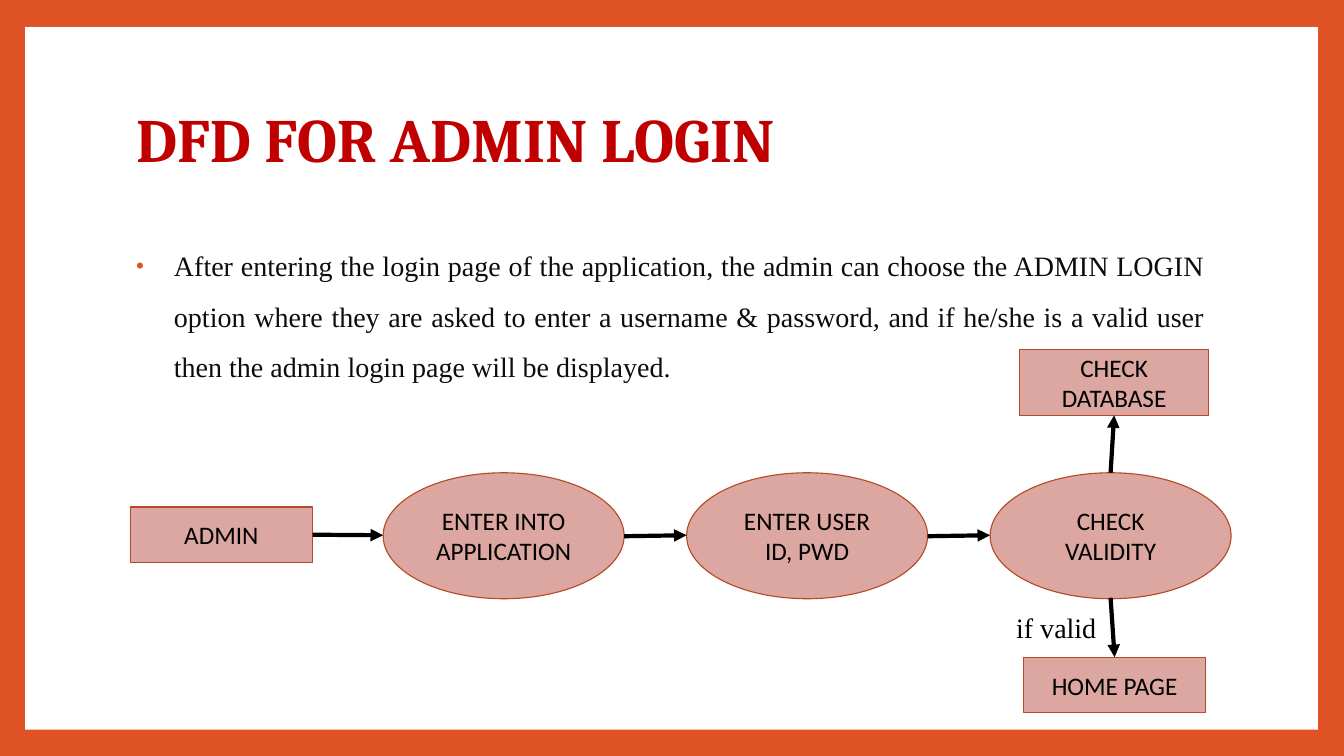
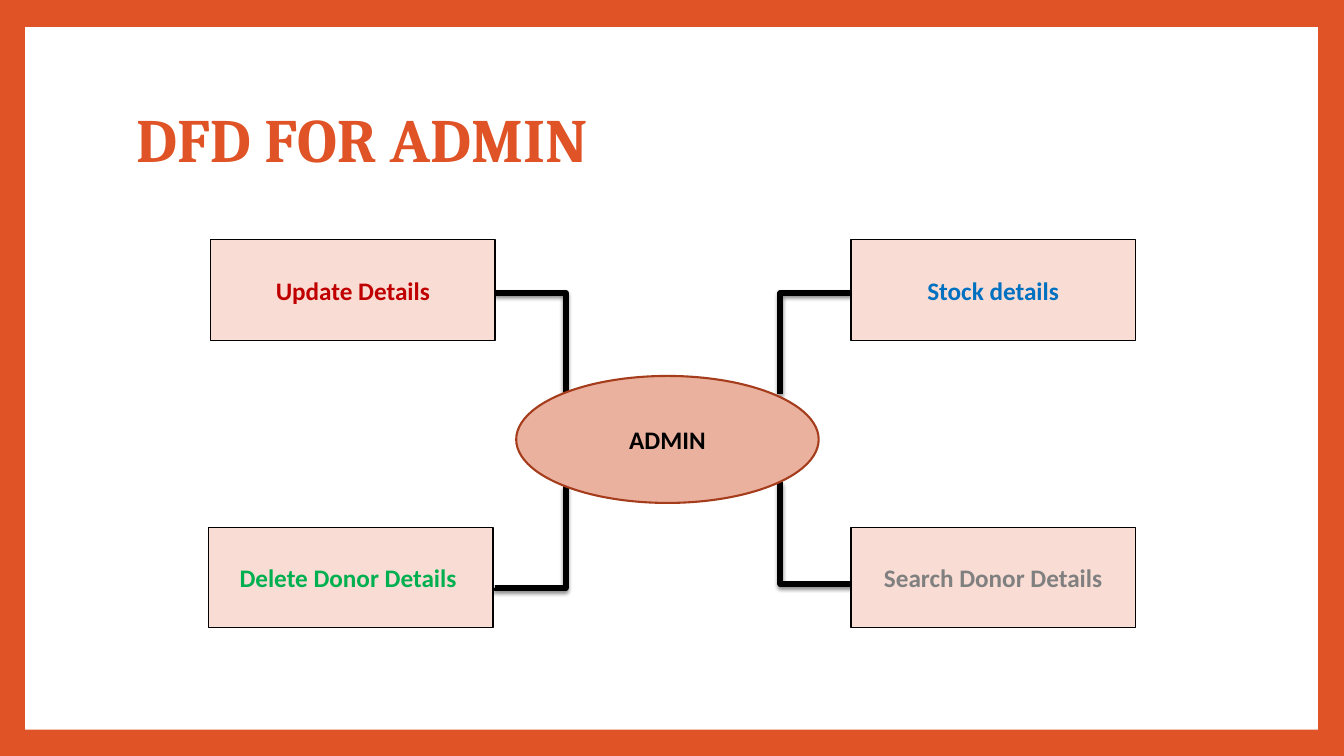
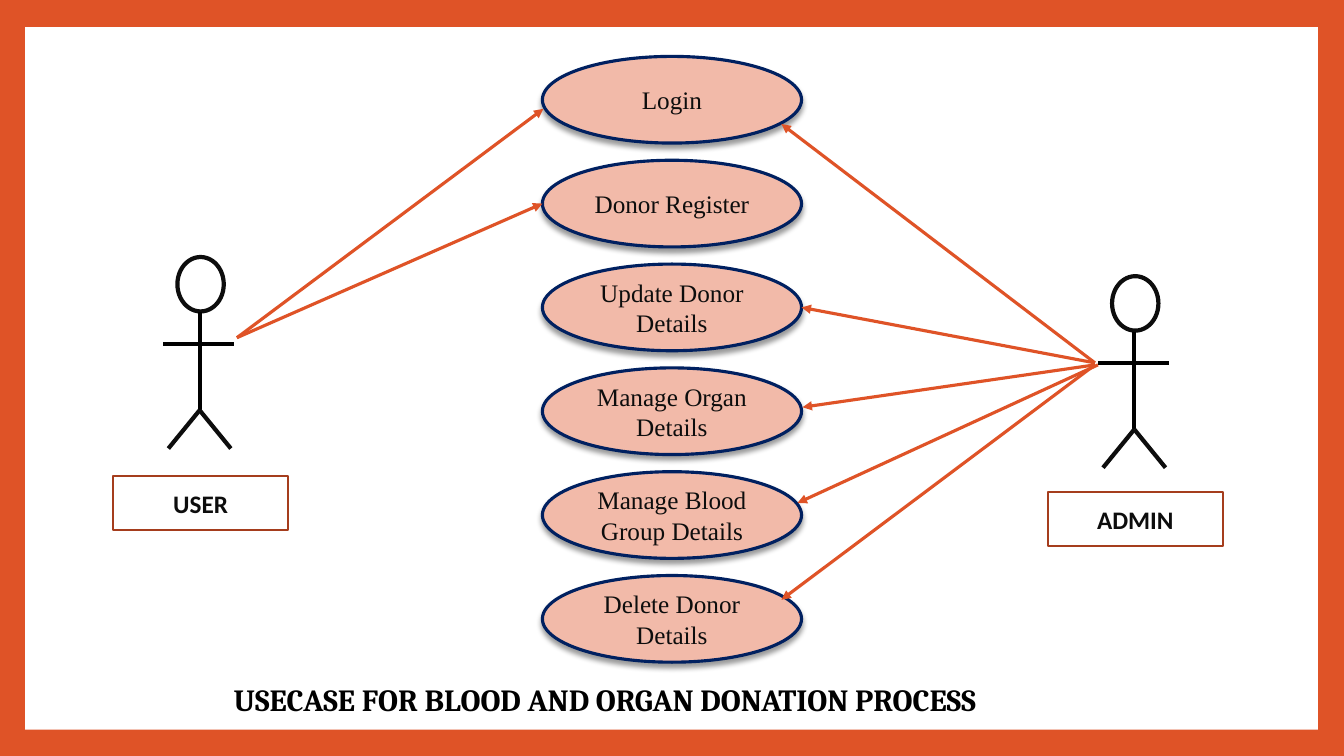
import pptx
import pptx.util
import pptx.dml.color
import pptx.enum.shapes
import pptx.enum.text
import pptx.oxml.ns
import lxml.etree

Inches, Pt = pptx.util.Inches, pptx.util.Pt
Kind = pptx.enum.shapes.MSO_SHAPE
Wire = pptx.enum.shapes.MSO_CONNECTOR
Align = pptx.enum.text.PP_ALIGN
Anchor = pptx.enum.text.MSO_ANCHOR
qn = pptx.oxml.ns.qn

INK = {
    "frame": "DF5327", "white": "FFFFFF", "black": "000000", "text": "0D0D0D",
    "red": "C00000", "blue": "0070C0", "green": "00B050", "gray": "808080",
    "rose": "DCA7A0", "rust": "B64926", "blush": "F9DDD4", "clay": "EBB19F",
    "brown": "A53D1D", "peach": "F2BAA9", "navy": "002060",
}
FONT = {
    "title": {"name": "Cambria", "size": Pt(44), "bold": True},
    "body": {"name": "Times New Roman", "size": Pt(20)},
    "case": {"name": "Times New Roman", "size": Pt(18)},
    "step": {"name": "Calibri", "size": Pt(18)},
    "label": {"name": "Calibri", "size": Pt(18), "bold": True},
    "foot": {"name": "Cambria", "size": Pt(22), "bold": True},
}
TITLE = (1.25, 0.67, 10.8, 1.48)
BODY = (1.25, 2.25, 10.8, 4.42)

INTRO = (
    "After entering the login page of the application, the admin can choose "
    "the ADMIN LOGIN option where they are asked to enter a username & password, "
    "and if he/she is a valid user then the admin login page will be displayed."
)
STEPS = ["ENTER INTO APPLICATION", "ENTER USER ID, PWD", "CHECK VALIDITY"]
ENDS = [
    ("ADMIN", (1.29, 5.03, 1.81, 0.55)),
    ("CHECK DATABASE", (10.11, 3.47, 1.88, 0.65)),
    ("HOME PAGE", (10.15, 6.52, 1.81, 0.55)),
]
TASKS = [
    ("Update Details", "red", (2.09, 2.38), (5.61, 3.91), (4.91, 2.91)),
    ("Stock details", "blue", (8.44, 2.38), (7.74, 3.91), (8.44, 2.91)),
    ("Delete Donor Details ", "green", (2.07, 5.23), (5.61, 4.82), (4.91, 5.83)),
    ("Search Donor Details", "gray", (8.44, 5.23), (7.74, 4.78), (8.44, 5.79)),
]
CASES = [
    "Login", "Donor Register", "Update Donor Details", "Manage Organ Details",
    "Manage Blood Group Details", "Delete Donor Details",
]
ACTORS = [
    ("USER", (1.62, 2.55), (1.12, 4.72), [
        ((2.35, 3.35), (5.39, 1.08)), ((2.35, 3.35), (5.38, 2.02)),
    ]),
    ("ADMIN", (10.89, 2.74), (10.39, 4.88), [
        ((10.86, 3.6), (7.75, 1.23)), ((10.86, 3.6), (7.95, 3.05)),
        ((10.86, 3.62), (7.96, 4.04)), ((10.89, 3.62), (7.91, 4.99)),
        ((10.86, 3.62), (7.75, 5.95)),
    ]),
]
LIMBS = [
    ((0.36, 0.55), (0.36, 1.52), "black"), ((0, 0.86), (0.7, 0.86), "black"),
    ((0.36, 1.52), (0.05, 1.9), "text"), ((0.67, 1.9), (0.36, 1.52), "text"),
]


def put(item, vals):
    for key, val in vals.items():
        setattr(item, key, val)


def tint(name):
    return pptx.dml.color.RGBColor.from_string(INK[name])


def paint(fill, name):
    fill.solid()
    fill.fore_color.rgb = tint(name)


def place(item, spot):
    put(item, dict(zip(("left", "top", "width", "height"), map(Inches, spot))))


def node(home, tag, **vals):
    return lxml.etree.SubElement(home, qn(tag), vals)


def shade(list_, alpha, blur, dist):
    cast = node(list_, "a:outerShdw", blurRad=str(Pt(blur)), dist=str(Pt(dist)),
                dir="5400000", algn="ctr", rotWithShape="0")
    color = node(cast, "a:srgbClr", val=INK["black"])
    node(color, "a:alpha", val=str(alpha * 1000))


def write(frame, text, font, color, **look):
    para = frame.paragraphs[0]
    para.text = text
    put(para, look)
    put(para.font, FONT[font])
    para.font.color.rgb = tint(color)


def draw(home, kind, spot, fill, edge=None, width=1):
    shape = home.add_shape(kind, *map(Inches, spot))
    shape.shadow.inherit = False
    paint(shape.fill, fill)
    if edge:
        paint(shape.line.fill, edge)
        shape.line.width = Pt(width)
    else:
        shape.line.fill.background()
    return shape


def box(home, kind, spot, text, font, color, fill, edge, width):
    shape = draw(home, kind, spot, fill, edge, width)
    put(shape.text_frame, {"word_wrap": True, "vertical_anchor": Anchor.MIDDLE})
    write(shape.text_frame, text, font, color, alignment=Align.CENTER)
    return shape


def link(home, start, end, color, width, head=False, kind=Wire.STRAIGHT):
    line = home.add_connector(kind, *map(Inches, (*start, *end)))
    paint(line.line.fill, color)
    line.line.width = Pt(width)
    if head:
        node(line.element.spPr.get_or_add_ln(), "a:tailEnd", type="triangle")
    node(line.element.spPr, "a:effectLst")
    return line


def elbow(home, start, end):
    (ax, ay), (bx, by) = start, end
    mx, my = (ax + bx) / 2, (ay + by) / 2
    dx, dy = abs(bx - ax) / 2, abs(by - ay) / 2
    right, up = bx > ax, by < ay
    sx, sy = (1 if right else -1), (1 if up else -1)
    line = link(home, (mx + sx * dy, my + sy * dx), (mx - sx * dy, my - sy * dx),
                "black", 4.25, kind=Wire.ELBOW)
    props = line.element.spPr
    props.find(qn("a:xfrm")).set("rot", str((90 if right == up else 270) * 60000))
    vals = props.find(qn("a:prstGeom")).get_or_add_avLst()
    node(vals, "a:gd", name="adj1", fmla="val 100200")
    shade(props.find(qn("a:effectLst")), 45, 3, 2)


def note(home, spot, text, font):
    label = home.add_textbox(*map(Inches, spot))
    label.text_frame.word_wrap = True
    write(label.text_frame, text, font, "black")


def head(slide, text, color):
    title = slide.shapes.title
    place(title, TITLE)
    put(title.text_frame, {"vertical_anchor": Anchor.MIDDLE, "word_wrap": True,
                           "auto_size": pptx.enum.text.MSO_AUTO_SIZE.NONE})
    write(title.text_frame, text, "title", color, alignment=Align.LEFT, line_spacing=0.9)


def theme(deck, slide):
    main = deck.slide_master
    paint(main.background.fill, "frame")
    panel = draw(slide.shapes, Kind.RECTANGLE, (0.25, 0.27, 12.82, 6.97), "white")
    panel.element.nvSpPr.cNvPr.set("id", "99")
    main.shapes.element.insert(2, panel.element)


def login(slide):
    head(slide, "DFD FOR ADMIN LOGIN", "red")
    body = slide.placeholders[1]
    place(body, BODY)
    body.text_frame.auto_size = pptx.enum.text.MSO_AUTO_SIZE.NONE
    props = body.text_frame.paragraphs[0]._p.get_or_add_pPr()
    put(props, {"marL": Inches(0.25), "indent": Inches(-0.2)})
    node(node(props, "a:buClr"), "a:srgbClr", val=INK["frame"])
    node(props, "a:buSzPct", val="80000")
    node(props, "a:buFont", typeface="Arial")
    node(props, "a:buChar", char="•")
    write(body.text_frame, INTRO, "body", "text", alignment=Align.JUSTIFY,
          line_spacing=1.5, space_before=Pt(0))

    home = slide.shapes
    look = ("step", "black", "rose", "rust", 0.79)
    admin, data, page = [box(home, Kind.RECTANGLE, spot, text, *look) for text, spot in ENDS]
    wide, gap, mid = 2.39, 0.62, 5.31
    lefts = [3.8 + i * (wide + gap) for i in range(len(STEPS))]
    for left, text in zip(lefts, STEPS):
        box(home, Kind.OVAL, (left, 4.69, wide, 1.25), text, *look)
    first = link(home, (3.1, mid), (lefts[0], mid), "black", 3, True)
    first.begin_connect(admin, 3)
    for left in lefts[1:]:
        link(home, (left - gap, mid + 0.01), (left, mid), "black", 3, True)
    axis = lefts[-1] + wide / 2
    link(home, (axis, 4.69), (axis, 4.12), "black", 3, True).end_connect(data, 2)
    link(home, (axis, 5.93), (axis, 6.52), "black", 3, True).end_connect(page, 0)
    note(home, (9.98, 6.01, 1.16, 0.44), "if valid", "body")


def duties(slide):
    head(slide, "DFD FOR ADMIN", "frame")
    home = slide.shapes
    for text, color, spot, start, end in TASKS:
        elbow(home, start, end)
        box(home, Kind.RECTANGLE, (*spot, 2.82, 1), text, "label", color,
            "blush", "black", 0.79)
    box(home, Kind.OVAL, (5.12, 3.73, 3, 1.26), "ADMIN", "label", "black",
        "clay", "brown", 1.5)


def figure(home, left, top):
    parts = home.add_group_shape().shapes
    draw(parts, Kind.OVAL, (left + 0.14, top, 0.46, 0.54), "white", "text", 3)
    for (ax, ay), (bx, by), color in LIMBS:
        link(parts, (left + ax, top + ay), (left + bx, top + by), color, 3)


def usage(slide):
    home = slide.shapes
    for i, text in enumerate(CASES):
        case = box(home, Kind.OVAL, (5.38, 0.56 + 1.03 * i, 2.57, 0.86), text, "case",
                   "text", "peach", "navy", 2.25)
        shade(case.element.spPr.find(qn("a:effectLst")), 40, 4, 3)
    for text, spot, label, arrows in ACTORS:
        figure(home, *spot)
        for start, end in arrows:
            link(home, start, end, "frame", 2.25, True)
        box(home, Kind.RECTANGLE, (*label, 1.74, 0.54), text, "label", "text",
            "white", "brown", 1.5)
    note(home, (2.22, 6.7, 9.26, 0.47),
         "USECASE FOR BLOOD AND ORGAN DONATION PROCESS", "foot")


def main():
    deck = pptx.Presentation()
    put(deck, {"slide_width": Inches(13.33), "slide_height": Inches(7.5)})
    plan = [(1, login), (5, duties), (6, usage)]
    slides = [deck.slides.add_slide(deck.slide_layouts[i]) for i, _ in plan]
    theme(deck, slides[0])
    for slide, (_, build) in zip(slides, plan):
        build(slide)
    deck.save("out.pptx")


if __name__ == "__main__":
    main()
